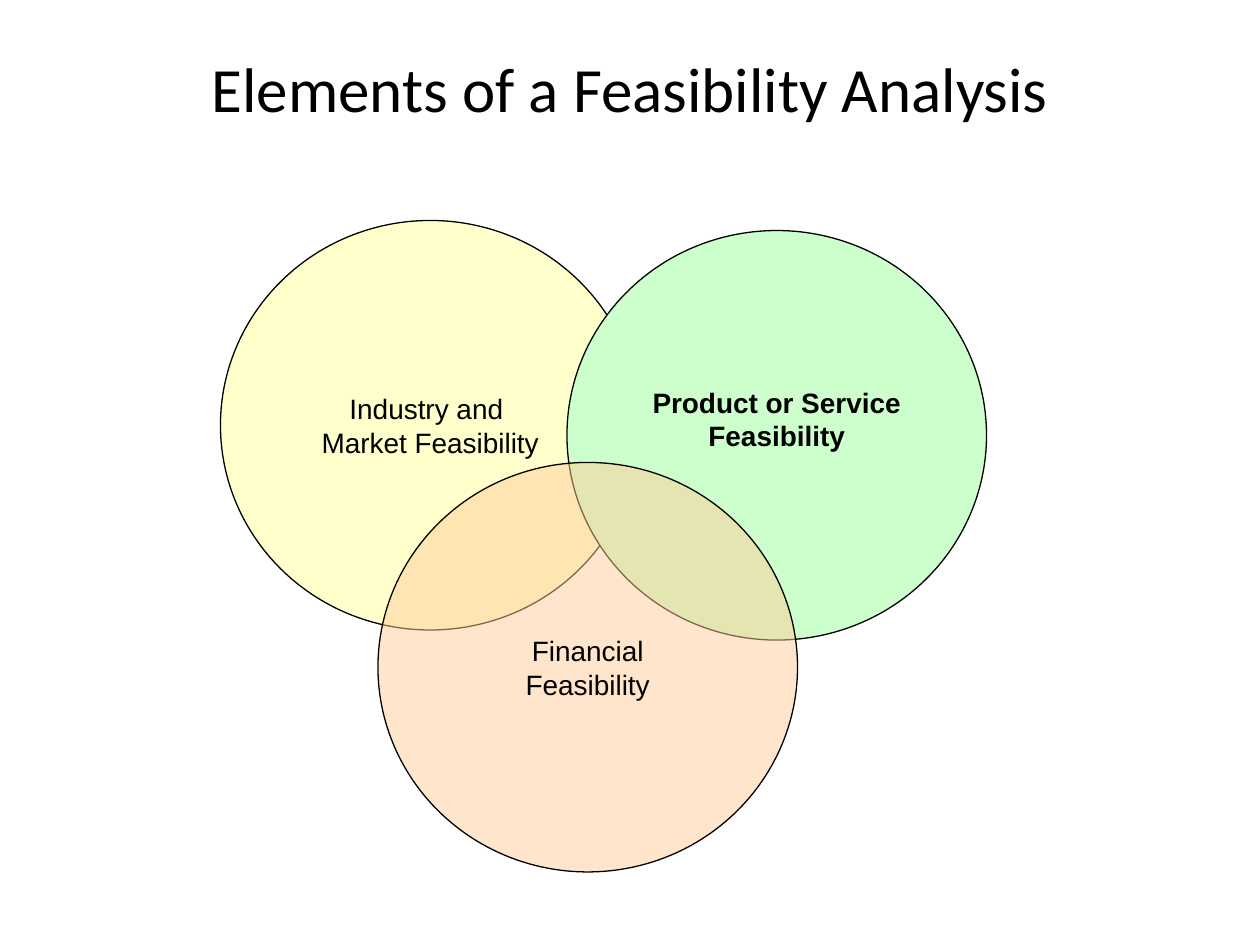
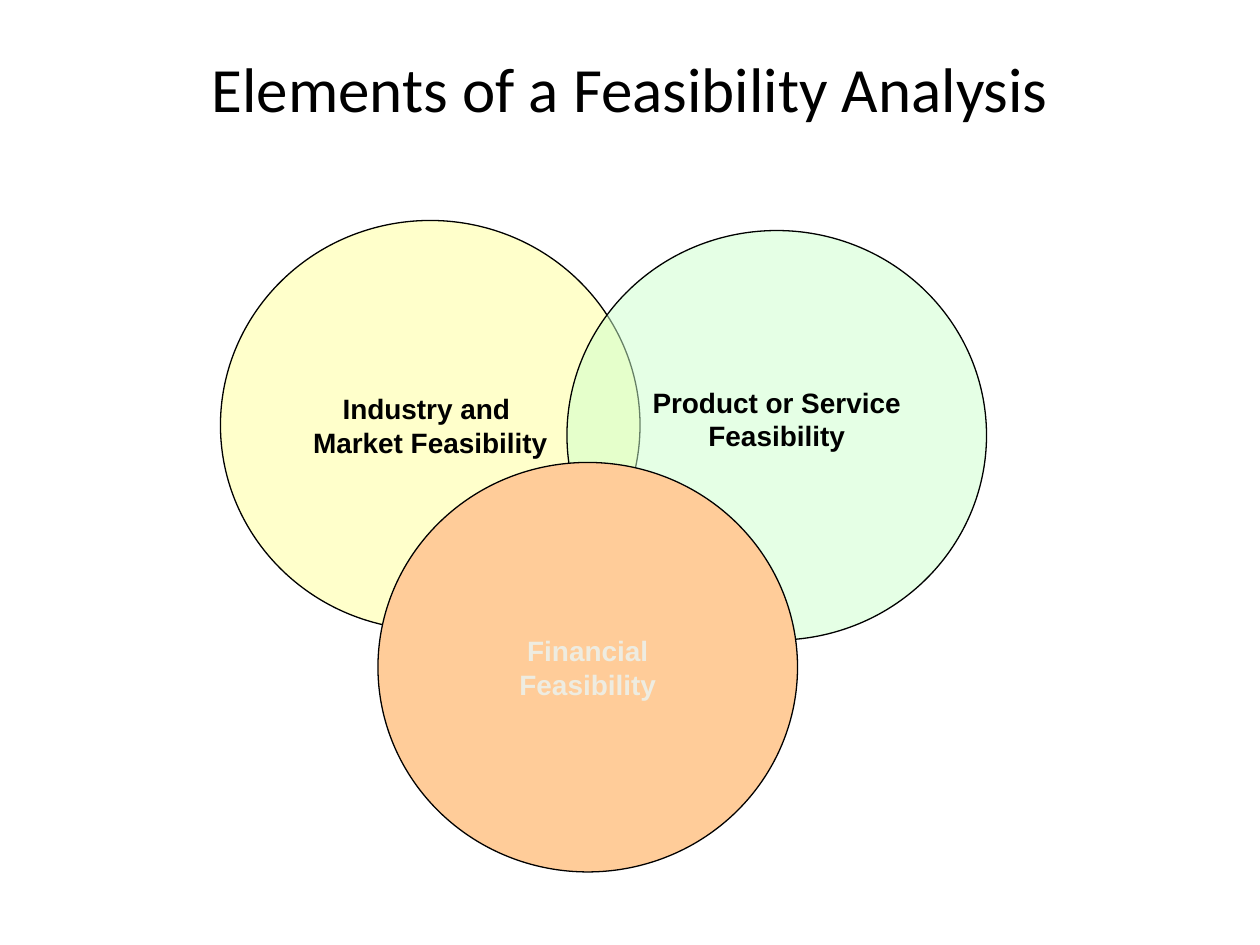
from lxml import etree
from pptx import Presentation
from pptx.dml.color import RGBColor
from pptx.enum import shapes, text
from pptx.oxml.ns import qn
from pptx.util import Inches, Pt

BLACK = RGBColor(0x00, 0x00, 0x00)
CREAM = RGBColor(0xEE, 0xEC, 0xE1)
YELLOW = RGBColor(0xFF, 0xFF, 0x99)
GREEN = RGBColor(0xCC, 0xFF, 0xCC)
ORANGE = RGBColor(0xFF, 0xCC, 0x99)

# Content shared by both slides
TITLE = "Elements of a Feasibility Analysis"
CIRCLE_SIZE = (3.33, 3.25)
# label, left, top, fill, bottom inset (a larger one lifts the label)
CIRCLES = [
    ("Industry and \nMarket Feasibility", 1.75, 1.75, YELLOW, 0.05),
    ("Product or Service\nFeasibility", 4.5, 1.83, GREEN, 0.31),
    ("Financial\nFeasibility", 3, 3.67, ORANGE, 0.05),
]

# Per slide, one entry a circle: opacity in percent, bold, label colour
SLIDES = [
    [(50, False, BLACK), (100, True, BLACK), (50, False, BLACK)],
    [(50, True, BLACK), (50, True, BLACK), (100, True, CREAM)],
]


def write(tf, content, font, size, color, bold=False):
    tf.text = content
    tf.vertical_anchor = text.MSO_ANCHOR.MIDDLE
    for p in tf.paragraphs:
        p.alignment = text.PP_ALIGN.CENTER
        for r in p.runs:
            r.font.name = font
            r.font.size = Pt(size)
            r.font.bold = bold
            r.font.color.rgb = color


def add_title(s):
    sp = s.shapes.add_textbox(Inches(0.5), Inches(0.3), Inches(9), Inches(0.78))
    sp.text_frame.word_wrap = True
    write(sp.text_frame, TITLE, "Calibri", 36, BLACK)


def add_circle(s, circle, style):
    label, left, top, fill, bottom_inset = circle
    opacity, bold, color = style
    width, height = CIRCLE_SIZE
    sp = s.shapes.add_shape(shapes.MSO_SHAPE.OVAL, Inches(left), Inches(top),
                            Inches(width), Inches(height))
    sp.shadow.inherit = False
    sp.fill.solid()
    sp.fill.fore_color.rgb = fill
    if opacity < 100:
        clr = sp._element.spPr.find(qn("a:solidFill")).find(qn("a:srgbClr"))
        etree.SubElement(clr, qn("a:alpha")).set("val", str(opacity * 1000))
    sp.line.color.rgb = BLACK
    sp.line.width = Pt(0.75)
    tf = sp.text_frame
    tf.word_wrap = False
    tf.margin_bottom = Inches(bottom_inset)
    write(tf, label, "Arial", 16, color, bold)


def main():
    prs = Presentation()
    prs.slide_width, prs.slide_height = Inches(10), Inches(7.5)
    for styles in SLIDES:
        s = prs.slides.add_slide(prs.slide_layouts[6])
        for circle, style in zip(CIRCLES, styles):
            add_circle(s, circle, style)
        add_title(s)
    prs.save("out.pptx")


if __name__ == "__main__":
    main()
